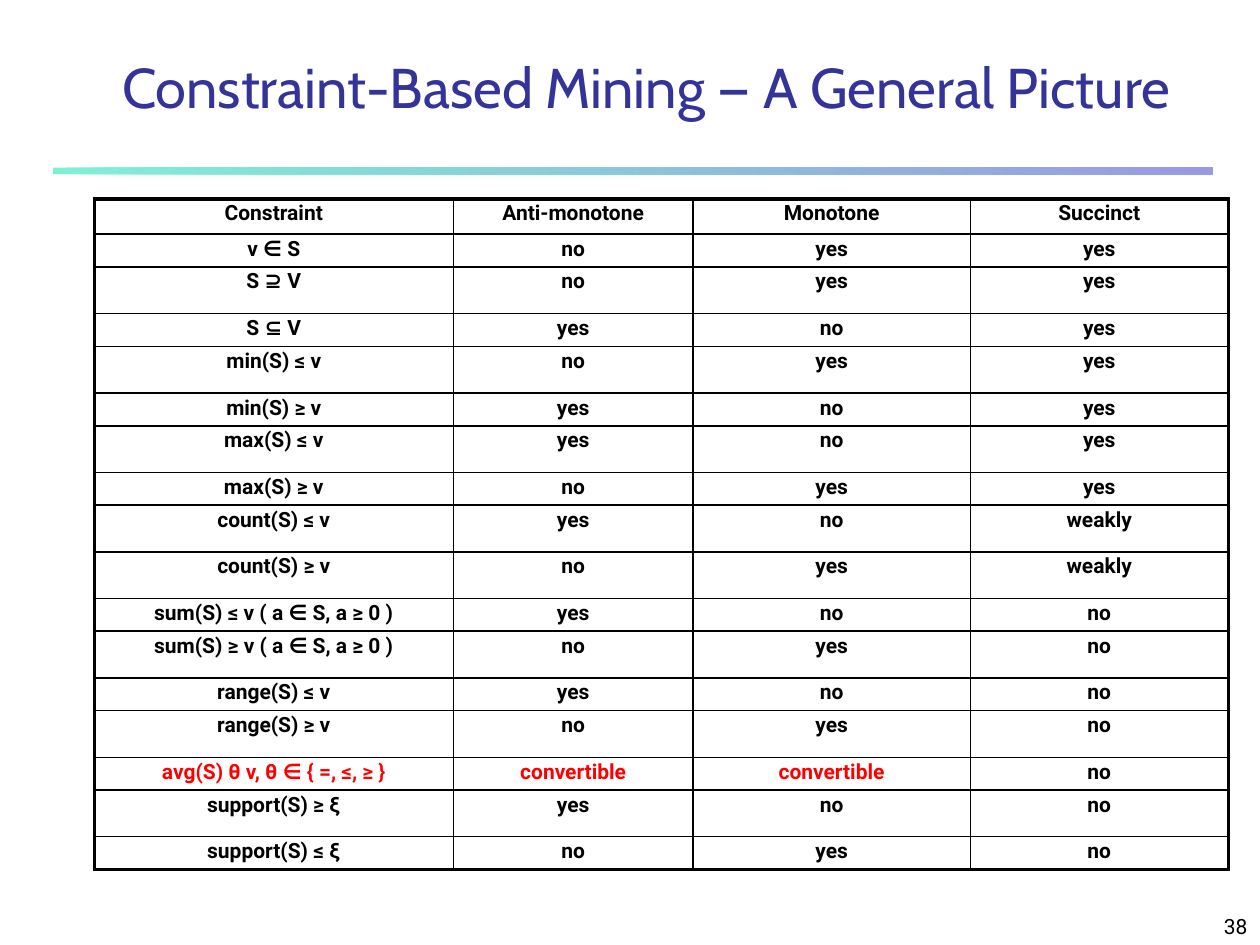
"""Build the constraint-based mining overview slide."""
import lxml.etree
import pptx
import pptx.dml.color
import pptx.enum.shapes
import pptx.enum.text
import pptx.oxml.ns
import pptx.util
from pptx.util import Cm

BLACK = pptx.dml.color.RGBColor(0x00, 0x00, 0x00)
RED = pptx.dml.color.RGBColor(0xFF, 0x00, 0x00)
NAVY = pptx.dml.color.RGBColor(0x33, 0x33, 0x99)
GREEN = pptx.dml.color.RGBColor(0x00, 0xE4, 0xA8)
BLUE = pptx.dml.color.RGBColor(0x33, 0x33, 0xCC)

CENTER = pptx.enum.text.PP_ALIGN.CENTER
RIGHT = pptx.enum.text.PP_ALIGN.RIGHT

CONSTRAINTS = [
    ("Constraint", "Anti-monotone", "Monotone", "Succinct"),
    ("v ∈ S", "no", "yes", "yes"),
    ("S ⊇ V", "no", "yes", "yes"),
    ("S ⊆ V", "yes", "no", "yes"),
    ("min(S) ≤ v", "no", "yes", "yes"),
    ("min(S) ≥ v", "yes", "no", "yes"),
    ("max(S) ≤ v", "yes", "no", "yes"),
    ("max(S) ≥ v", "no", "yes", "yes"),
    ("count(S) ≤ v", "yes", "no", "weakly"),
    ("count(S) ≥ v", "no", "yes", "weakly"),
    ("sum(S) ≤ v ( a ∈ S, a ≥ 0 )", "yes", "no", "no"),
    ("sum(S) ≥ v ( a ∈ S, a ≥ 0 )", "no", "yes", "no"),
    ("range(S) ≤ v", "yes", "no", "no"),
    ("range(S) ≥ v", "no", "yes", "no"),
    ("avg(S) θ v, θ ∈ { =, ≤, ≥ }", "convertible", "convertible", "no"),
    ("support(S) ≥ ξ", "yes", "no", "no"),
    ("support(S) ≤ ξ", "no", "yes", "no"),
]
COLUMN_WIDTHS = [7.24, 4.83, 5.59, 5.2]
HEADER_HEIGHT, SHORT_HEIGHT, TALL_HEIGHT = 0.71, 0.66, 0.94
TALL_ROWS = {2, 4, 6, 8, 9, 11, 13, 15}
CONVERTIBLE_ROW = 14
INNER_LINE, OUTER_LINE = 1, 2.25


def write_text(text_frame, text, font="Roboto", size=12, color=BLACK,
               bold=False, align=CENTER, line_spacing=None):
    """Write one formatted paragraph into a text frame."""
    paragraph = text_frame.paragraphs[0]
    paragraph.alignment = align
    paragraph.line_spacing = line_spacing
    run = paragraph.add_run()
    run.text = text
    run.font.name = font
    run.font.size = pptx.util.Pt(size)
    run.font.bold = bold
    run.font.color.rgb = color


def add_text(slide, left, top, width, height, text, **text_format):
    """Add a wrapping text box anchored at its bottom."""
    shape = slide.shapes.add_textbox(Cm(left), Cm(top), Cm(width), Cm(height))
    shape.text_frame.word_wrap = True
    shape.text_frame.vertical_anchor = pptx.enum.text.MSO_ANCHOR.BOTTOM
    write_text(shape.text_frame, text, **text_format)


def add_gradient_bar(slide, left, top, width, height, colors, opacity):
    """Add a borderless bar with a translucent horizontal gradient."""
    shape = slide.shapes.add_shape(pptx.enum.shapes.MSO_SHAPE.RECTANGLE,
                                   Cm(left), Cm(top), Cm(width), Cm(height))
    shape.shadow.inherit = False
    shape.line.fill.background()
    shape.fill.gradient()
    shape.fill.gradient_angle = 0
    for stop, color in zip(shape.fill.gradient_stops, colors):
        stop.color.rgb = color
    qualified = pptx.oxml.ns.qn
    for element in shape._element.spPr.iter(qualified("a:srgbClr")):
        alpha = lxml.etree.SubElement(element, qualified("a:alpha"))
        alpha.set("val", str(opacity * 1000))


def set_borders(cell, widths):
    """Draw black cell borders with widths in points keyed by side."""
    qualified = pptx.oxml.ns.qn
    properties = cell._tc.get_or_add_tcPr()
    for side, width in widths.items():
        line = lxml.etree.SubElement(properties, qualified(f"a:ln{side}"))
        line.set("w", str(int(pptx.util.Pt(width))))
        fill = lxml.etree.SubElement(line, qualified("a:solidFill"))
        color = lxml.etree.SubElement(fill, qualified("a:srgbClr"))
        color.set("val", str(BLACK))


def row_height(row):
    """Return the height of a table row in centimetres."""
    if row == 0:
        return HEADER_HEIGHT
    return TALL_HEIGHT if row in TALL_ROWS else SHORT_HEIGHT


def add_constraint_table(slide, left, top):
    """Add the table of constraints and their properties."""
    heights = [row_height(row) for row in range(len(CONSTRAINTS))]
    last_row, last_column = len(heights) - 1, len(COLUMN_WIDTHS) - 1
    table = slide.shapes.add_table(
        len(heights), len(COLUMN_WIDTHS), Cm(left), Cm(top),
        Cm(sum(COLUMN_WIDTHS)), Cm(sum(heights))).table
    table.first_row = False
    table.horz_banding = False
    for column, width in zip(table.columns, COLUMN_WIDTHS):
        column.width = Cm(width)
    for row_index, texts in enumerate(CONSTRAINTS):
        table.rows[row_index].height = Cm(heights[row_index])
        for column_index, text in enumerate(texts):
            cell = table.cell(row_index, column_index)
            outer_sides = {"L": column_index == 0,
                           "R": column_index == last_column,
                           "T": row_index == 0,
                           "B": row_index == last_row}
            set_borders(cell, {side: OUTER_LINE if outer else INNER_LINE
                               for side, outer in outer_sides.items()})
            cell.fill.background()
            highlighted = (row_index == CONVERTIBLE_ROW
                           and column_index != last_column)
            write_text(cell.text_frame, text, bold=True, line_spacing=0.8,
                       color=RED if highlighted else BLACK)


def main():
    """Create the presentation and save it."""
    presentation = pptx.Presentation()
    presentation.slide_width = Cm(25.4)
    presentation.slide_height = Cm(19.05)
    slide = presentation.slides.add_slide(presentation.slide_layouts[6])
    add_gradient_bar(slide, 1.07, 3.38, 23.37, 0.13, (GREEN, BLUE), 50)
    add_text(slide, 20.12, 17.98, 5.28, 1.07, "38", align=RIGHT)
    add_text(slide, 1.07, 0.64, 23.93, 1.9,
             "Constraint-Based Mining — A General Picture",
             font="Cabin", size=32, color=NAVY)
    add_constraint_table(slide, 1.9, 4.01)
    presentation.save("out.pptx")


if __name__ == "__main__":
    main()
